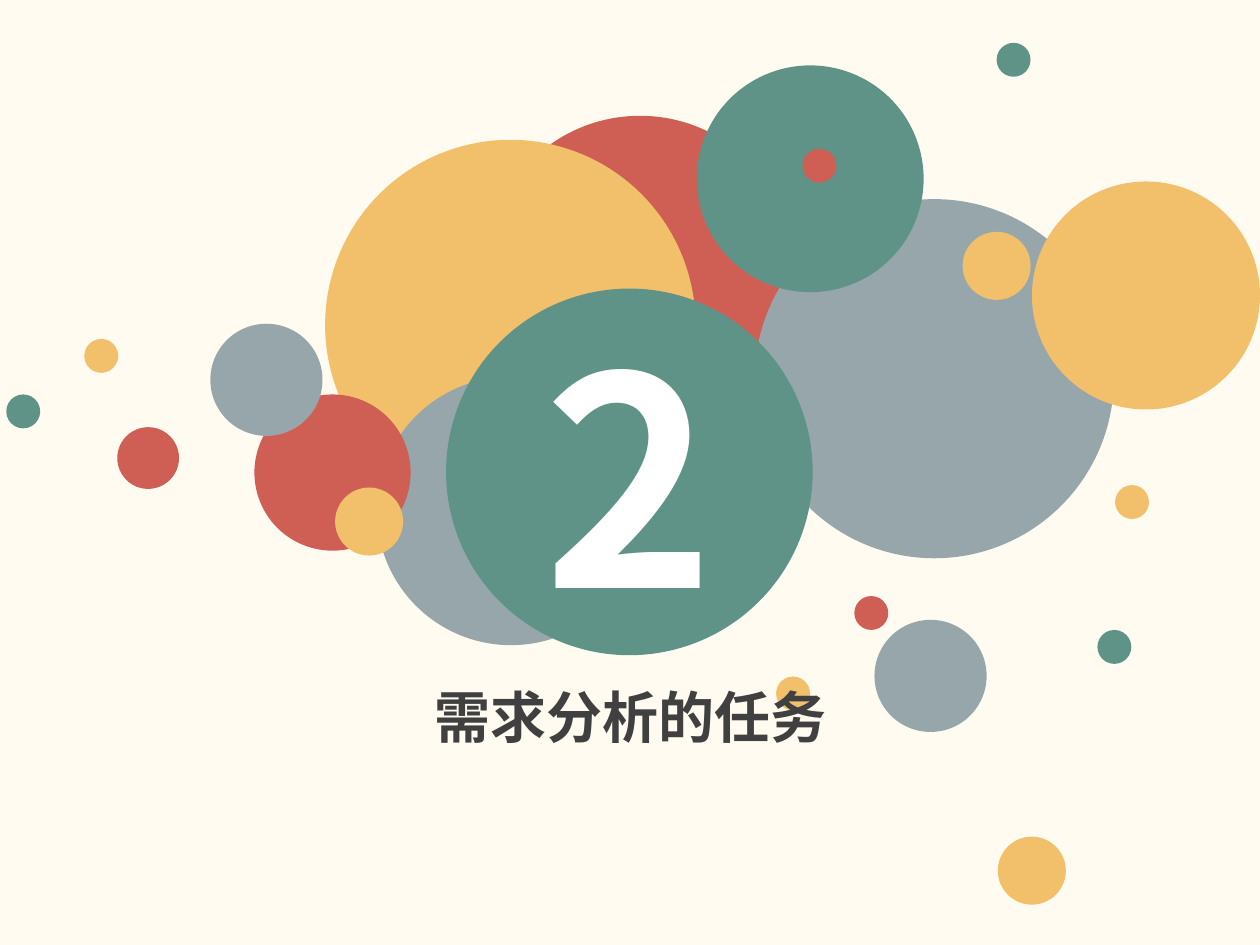
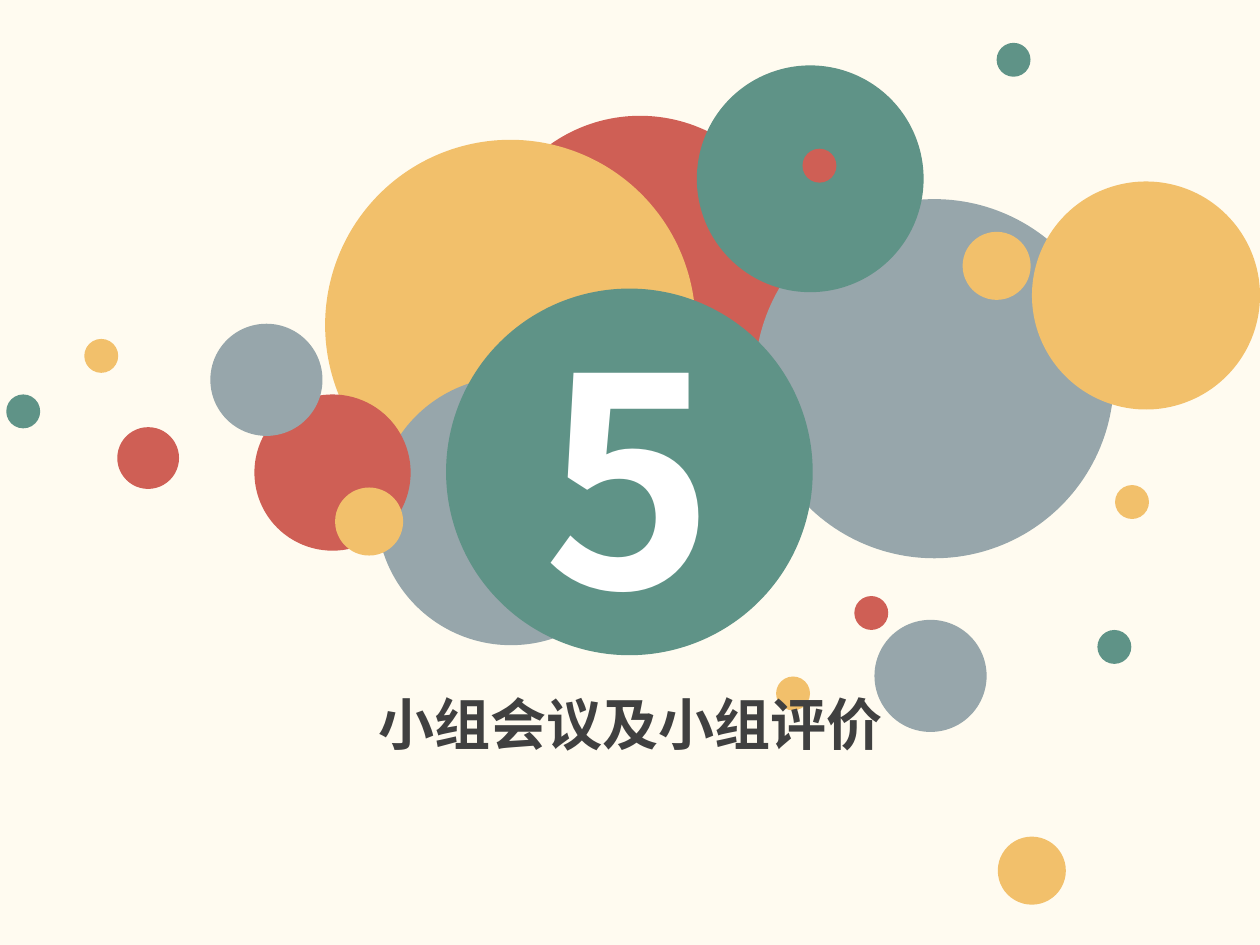
from dataclasses import dataclass

from lxml import etree
from pptx import Presentation
from pptx import util as u
from pptx.dml.color import RGBColor
from pptx.enum import shapes, text
from pptx.oxml import ns


@dataclass(frozen=True)
class Theme:
    cream: str = "FFFBF0"
    red: str = "CF5F55"
    yellow: str = "F2C06B"
    grey: str = "97A6AB"
    green: str = "5F9387"
    white: str = "FFFFFF"
    ink: str = "404040"
    font: str = "Noto Sans CJK SC"
    number_size: int = 166
    title_size: int = 32


theme = Theme()
DOT, BUBBLE, BALL = 19.4, 38.9, 64.1  # recurring diameters

# left, top, diameter, colour; from back to front
CIRCLES = [
    (277.2, 66.2, 177.1, theme.red),
    (185.8, 79.9, 211.7, theme.yellow),
    (215.3, 215.3, 153.4, theme.grey),
    (431.3, 113.8, 205.2, theme.grey),
    (398.2, 37.4, 129.6, theme.green),
    (145.4, 225.4, 89.3, theme.red),
    (499.7, 354.2, BALL, theme.grey),
    (488.2, 340.6, DOT, theme.red),
    (443.5, 386.6, DOT, theme.yellow),
    (627.1, 360, DOT, theme.green),
    (570.2, 478.1, BUBBLE, theme.yellow),
    (589.7, 103.7, 130.3, theme.yellow),
    (120.2, 185, BALL, theme.grey),
    (67, 244.1, 35.3, theme.red),
    (48.2, 193.7, DOT, theme.yellow),
    (3.6, 225.4, DOT, theme.green),
    (191.5, 278.6, BUBBLE, theme.yellow),
    (458.6, 85, DOT, theme.red),
    (637.2, 277.2, DOT, theme.yellow),
    (569.5, 24.5, DOT, theme.green),
    (550.1, 132.5, BUBBLE, theme.yellow),
    (254.9, 164.9, 209.5, theme.green),  # carries the section number
]

# section number, title, top of the title
SECTIONS = [
    ("2", "需求分析的任务", 386.6),
    ("5", "小组会议及小组评价", 390.2),
]


def add_circle(page, left, top, diameter, colour):
    circle = page.shapes.add_shape(
        shapes.MSO_SHAPE.OVAL, u.Pt(left), u.Pt(top), u.Pt(diameter), u.Pt(diameter))
    circle.shadow.inherit = False
    circle.fill.solid()
    circle.fill.fore_color.rgb = RGBColor.from_string(colour)
    circle.line.fill.background()
    return circle


def write_centred(shape, words, size, colour):
    """Set one bold, centred line, with the font for Latin and Chinese text."""
    shape.text_frame.text = words
    para = shape.text_frame.paragraphs[0]
    para.alignment = text.PP_ALIGN.CENTER
    span = para.runs[0]
    span.font.size = u.Pt(size)
    span.font.bold = True
    span.font.color.rgb = RGBColor.from_string(colour)
    span.font.name = theme.font
    east_asian = etree.SubElement(span._r.get_or_add_rPr(), ns.qn("a:ea"))
    east_asian.set("typeface", theme.font)


deck = Presentation()
deck.slide_width, deck.slide_height = u.Pt(720), u.Pt(540)
backdrop = deck.slide_master.background.fill
backdrop.solid()
backdrop.fore_color.rgb = RGBColor.from_string(theme.cream)
title_only = deck.slide_layouts.get_by_name("Title Only")

for number, heading, heading_top in SECTIONS:
    page = deck.slides.add_slide(title_only)
    for circle_place in CIRCLES:
        circle = add_circle(page, *circle_place)
    circle.text_frame.vertical_anchor = text.MSO_ANCHOR.MIDDLE
    write_centred(circle, number, theme.number_size, theme.white)

    title = page.shapes.title
    title.left, title.top = u.Pt(143.3), u.Pt(heading_top)
    title.width, title.height = u.Pt(434.2), u.Pt(46.1)
    title.text_frame.vertical_anchor = text.MSO_ANCHOR.TOP
    title.text_frame.auto_size = text.MSO_AUTO_SIZE.SHAPE_TO_FIT_TEXT
    write_centred(title, heading, theme.title_size, theme.ink)
    title.element.getparent().append(title.element)  # in front of the circles

deck.save("out.pptx")
